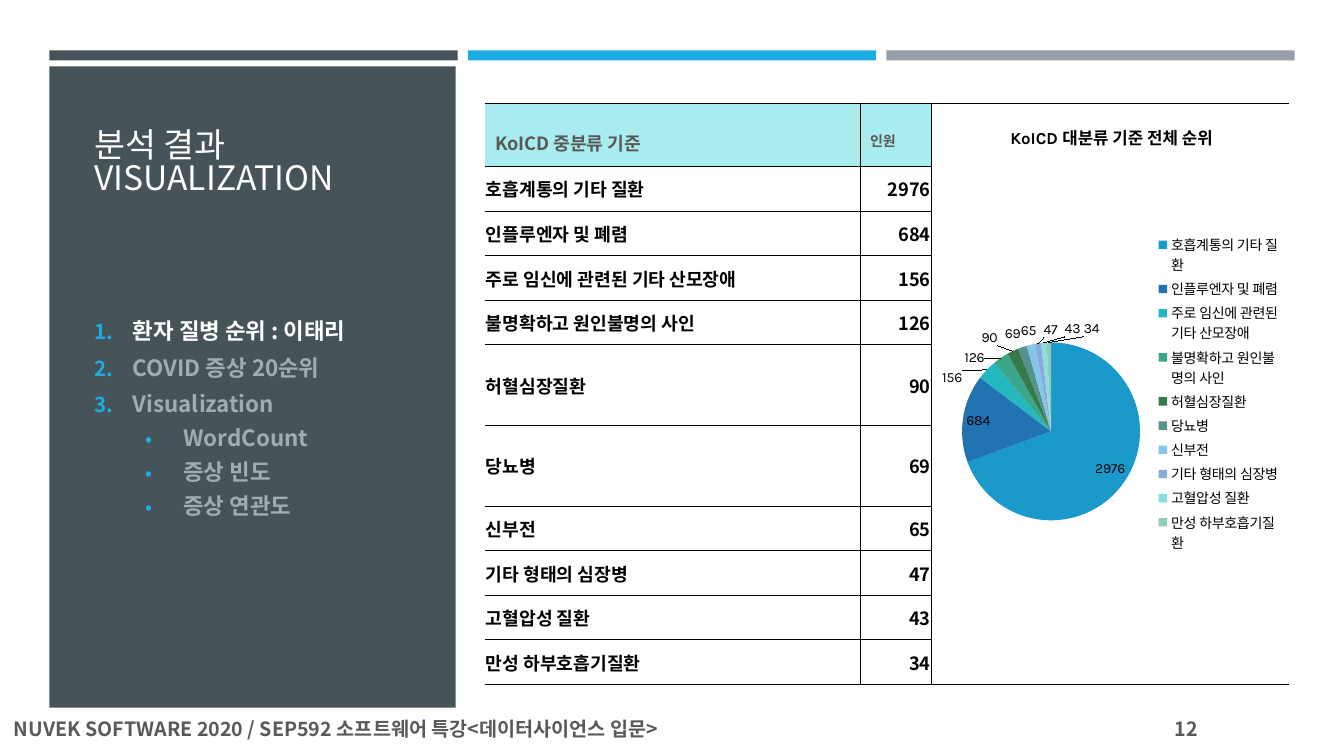
"""Build the patient disease ranking slide with its table and pie chart."""
from lxml.etree import SubElement as Sub
from pptx import Presentation
from pptx.chart.data import CategoryChartData
from pptx.dml.color import RGBColor as RGB
from pptx.enum.chart import XL_CHART_TYPE as CT, XL_LABEL_POSITION as LP, XL_LEGEND_POSITION as LG
from pptx.enum.shapes import MSO_SHAPE as SHAPE
from pptx.enum.text import MSO_ANCHOR as ANCHOR, PP_ALIGN as ALIGN
from pptx.oxml import parse_xml
from pptx.oxml.ns import nsdecls, qn
from pptx.util import Inches, Pt

THEME = {
    "font": "Noto Sans CJK KR", "chart_font": "Karla",
    "dark": "465359", "blue": "1CADE4", "gray": "969FA7", "white": "FFFFFF",
    "dim": "A1ACB2", "text": "595959", "black": "000000", "header": "A8ECEF",
    "title": 24, "body": 16, "footer": 14, "cell": 13, "chart_title": 12, "small": 10,
    "pie": ["1A9ACB", "2174B1", "23B8C0", "3BA68A", "377A4A",
            "58928F", "86C5EA", "8AABDA", "8ADCE0", "90CBB5"],
}
W, H = 13.33, 7.5
LEFT, BAR_W, BAR_STEP = 0.49, 4.05, 4.15
TEXT_L, TEXT_W = 0.84, 3.32
TOP, TABLE_L, TABLE_H = 1.02, 4.81, 5.77
COLS = [3.72, 0.71, 3.55]
HEAD_H, TALL_H, TALL_ROWS = 0.63, 0.8, (5, 6)
DISEASES = {
    "호흡계통의 기타 질환": 2976, "인플루엔자 및 폐렴": 684,
    "주로 임신에 관련된 기타 산모장애": 156, "불명확하고 원인불명의 사인": 126,
    "허혈심장질환": 90, "당뇨병": 69, "신부전": 65, "기타 형태의 심장병": 47,
    "고혈압성 질환": 43, "만성 하부호흡기질환": 34,
}


def write(p, text, size, color, bold=True):
    """Add a run in the theme font to a paragraph."""
    r = p.add_run()
    r.text = text
    for name, value in {"name": THEME["font"], "size": Pt(THEME[size]), "bold": bold}.items():
        setattr(r.font, name, value)
    r.font.color.rgb = RGB.from_string(THEME[color])
    Sub(r.font._element, qn("a:ea"), typeface=THEME["font"])


def text_frame(left, top, width, height, margin_top=0.05):
    """Add a wrapping text box and return its frame."""
    tf = s.shapes.add_textbox(*map(Inches, (left, top, width, height))).text_frame
    tf.word_wrap, tf.margin_top = True, Inches(margin_top)
    return tf


prs = Presentation()
prs.slide_width, prs.slide_height = Inches(W), Inches(H)
s = prs.slides.add_slide(prs.slide_layouts[6])

blocks = [(LEFT + i * BAR_STEP, 0.5, BAR_W, 0.1, color)
          for i, color in enumerate(("dark", "blue", "gray"))]
blocks.append((LEFT, 0.66, 4.03, 6.36, "dark"))
for *box, color in blocks:
    sp = s.shapes.add_shape(SHAPE.RECTANGLE, *map(Inches, box))
    sp.shadow.inherit = False
    sp.fill.solid()
    sp.fill.fore_color.rgb = RGB.from_string(THEME[color])
    sp.line.fill.background()

footer = text_frame(0.04, 7.06, 7.18, 0.34)
write(footer.paragraphs[0], "NUVEK SOFTWARE 2020 / SEP592 소프트웨어 특강<데이터사이언스 입문>", "footer", "text")
number = text_frame(11.55, 7.06, 1.15, 0.4)
write(number.paragraphs[0], "12", "footer", "text")

title = text_frame(TEXT_L, TOP, TEXT_W, 1.88, 0.28)
for i, line in enumerate(("분석 결과", "VISUALIZATION")):
    p = title.paragraphs[0] if i == 0 else title.add_paragraph()
    p.line_spacing = 0.82
    write(p, line, "title", "white", False)

agenda = [("환자 질병 순위 : 이태리", 0, "white"), ("COVID 증상 20순위", 0, "dim"),
          ("Visualization", 0, "dim"), ("WordCount", 1, "dim"),
          ("증상 빈도", 1, "dim"), ("증상 연관도", 1, "dim")]
body = text_frame(TEXT_L, 3.1, TEXT_W, 3.28, 0.02)
for i, (line, level, color) in enumerate(agenda):
    p = body.paragraphs[0] if i == 0 else body.add_paragraph()
    p.level, p.space_after, p.line_spacing = level, Pt(5), 1.0 if level else 1.1
    pPr = p._p.get_or_add_pPr()
    pPr.set("marL", str(Inches(0.38 + level * 0.5)))
    pPr.set("indent", str(Inches(-0.38)))
    Sub(Sub(pPr, qn("a:buClr")), qn("a:srgbClr"), val=THEME["blue"])
    Sub(pPr, qn("a:buSzPct"), val="92000")
    Sub(pPr, qn("a:buFont"), typeface=THEME["font"])
    if level:
        Sub(pPr, qn("a:buChar"), char="•")
    else:
        Sub(pPr, qn("a:buAutoNum"), type="arabicPeriod")
    write(p, line, "body", color)

rows = [("KoICD 중분류 기준", "인원"), *DISEASES.items()]
row_h = (TABLE_H - HEAD_H - len(TALL_ROWS) * TALL_H) / (len(DISEASES) - len(TALL_ROWS))
table = s.shapes.add_table(len(rows), len(COLS), *map(Inches, (TABLE_L, TOP, sum(COLS), TABLE_H))).table
table.first_row = table.horz_banding = False
for col, width in zip(table.columns, COLS):
    col.width = Inches(width)
for i, row in enumerate(rows):
    table.rows[i].height = Inches(HEAD_H if i == 0 else TALL_H if i in TALL_ROWS else row_h)
    for j in range(len(COLS)):
        cell = table.cell(i, j)
        cell.vertical_anchor = ANCHOR.MIDDLE
        tcPr = cell._tc.get_or_add_tcPr()
        for side in "LRTB":
            ln = Sub(tcPr, qn(f"a:ln{side}"), w=str(Pt(0.25)))
            if (side, j) in (("L", 0), ("R", 2)):
                Sub(ln, qn("a:noFill"))
            else:
                Sub(Sub(ln, qn("a:solidFill")), qn("a:srgbClr"), val=THEME["black"])
        if i == 0 and j < 2:
            cell.fill.solid()
            cell.fill.fore_color.rgb = RGB.from_string(THEME["header"])
        else:
            cell.fill.background()
        if j == 2:
            continue
        p = cell.text_frame.paragraphs[0]
        if i == 0:
            p.alignment, p.line_spacing = ALIGN.JUSTIFY, 1.6
            write(p, row[j], "small" if j else "cell", "text")
        else:
            for side, inset in {"left": 0.01, "right": 0.01, "top": 0.01, "bottom": 0}.items():
                setattr(cell, f"margin_{side}", Inches(inset))
            p.alignment = ALIGN.RIGHT if j else ALIGN.LEFT
            write(p, str(row[j]), "cell", "black")
table.cell(0, 2).merge(table.cell(len(rows) - 1, 2))

data = CategoryChartData()
data.categories = list(DISEASES)
data.add_series("Series 1", list(DISEASES.values()))
chart = s.shapes.add_chart(CT.PIE, *map(Inches, (9.26, TOP, 3.53, TABLE_H)), data).chart
chart.has_title = chart.has_legend = True
tf = chart.chart_title.text_frame
tf.text = "KoICD 대분류 기준 전체 순위"
chart.legend.position, chart.legend.include_in_layout = LG.RIGHT, False
plot = chart.plots[0]
plot.vary_by_categories = plot.has_data_labels = True
labels = plot.data_labels
labels.show_value, labels.show_percentage, labels.position = True, False, LP.BEST_FIT
for font, size, bold in ((chart.font, "small", False), (labels.font, "small", False),
                         (tf.paragraphs[0].runs[0].font, "chart_title", True)):
    for name, value in {"name": THEME["chart_font"], "size": Pt(THEME[size]), "bold": bold}.items():
        setattr(font, name, value)
    font.color.rgb = RGB.from_string(THEME["black"])
for i, color in enumerate(THEME["pie"]):
    fill = plot.series[0].points[i].format.fill
    fill.solid()
    fill.fore_color.rgb = RGB.from_string(color)

plot_area = chart._chartSpace.chart.plotArea
legend = chart.legend._element
for part, index, target, shares in (
        (plot_area, 0, '<c:layoutTarget val="inner"/>', (0.08, 0.41, 0.5, 0.31)),
        (legend, 1, "", (0.62, 0.22, 0.36, 0.56))):
    for old in part.findall(qn("c:layout")):
        part.remove(old)
    modes = "".join(f'<c:{k}Mode val="edge"/>' for k in "xy")
    sizes = "".join(f'<c:{k} val="{v}"/>' for k, v in zip("xywh", shares))
    part.insert(index, parse_xml(
        f'<c:layout {nsdecls("c")}><c:manualLayout>{target}{modes}{sizes}</c:manualLayout></c:layout>'))

prs.save("out.pptx")
